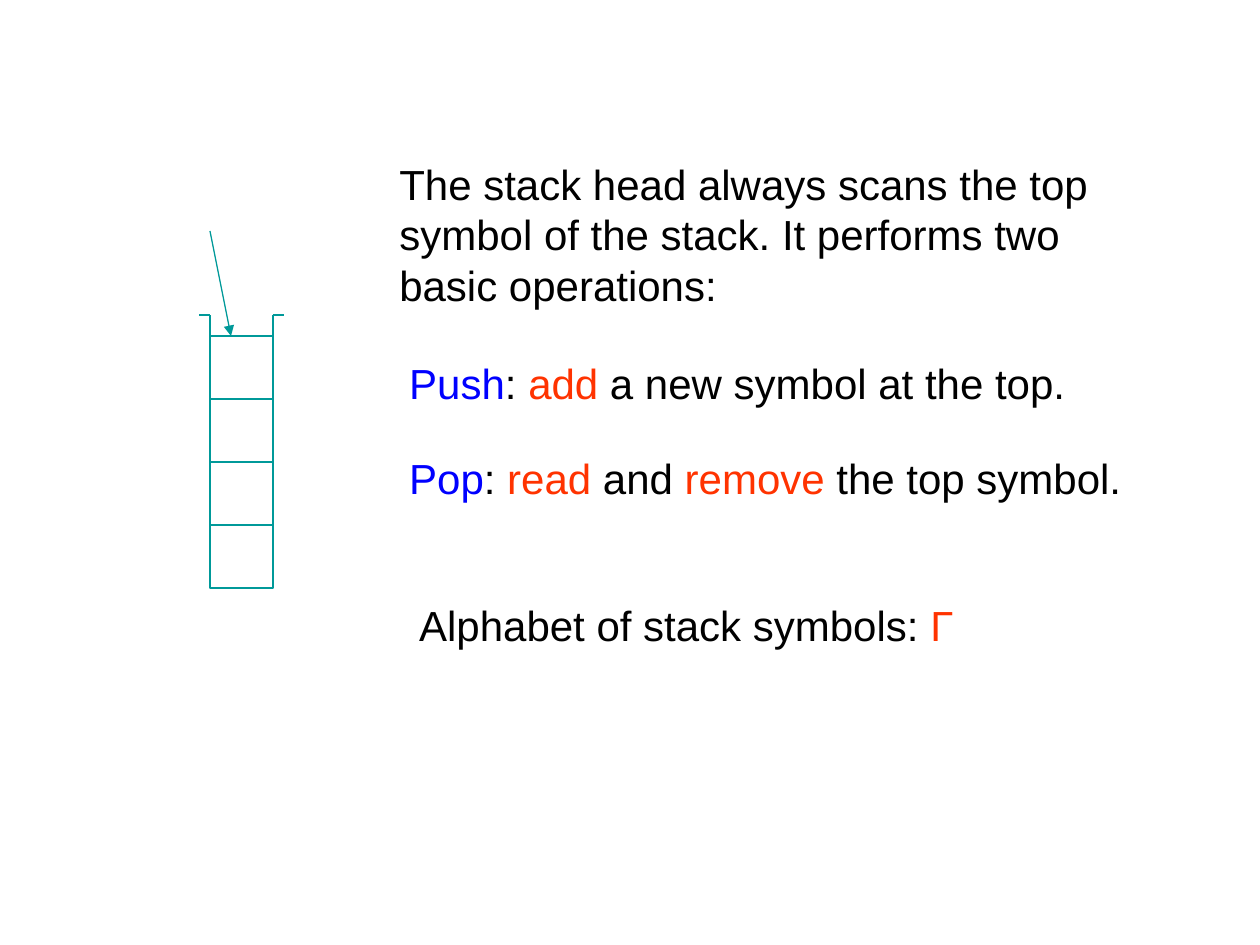
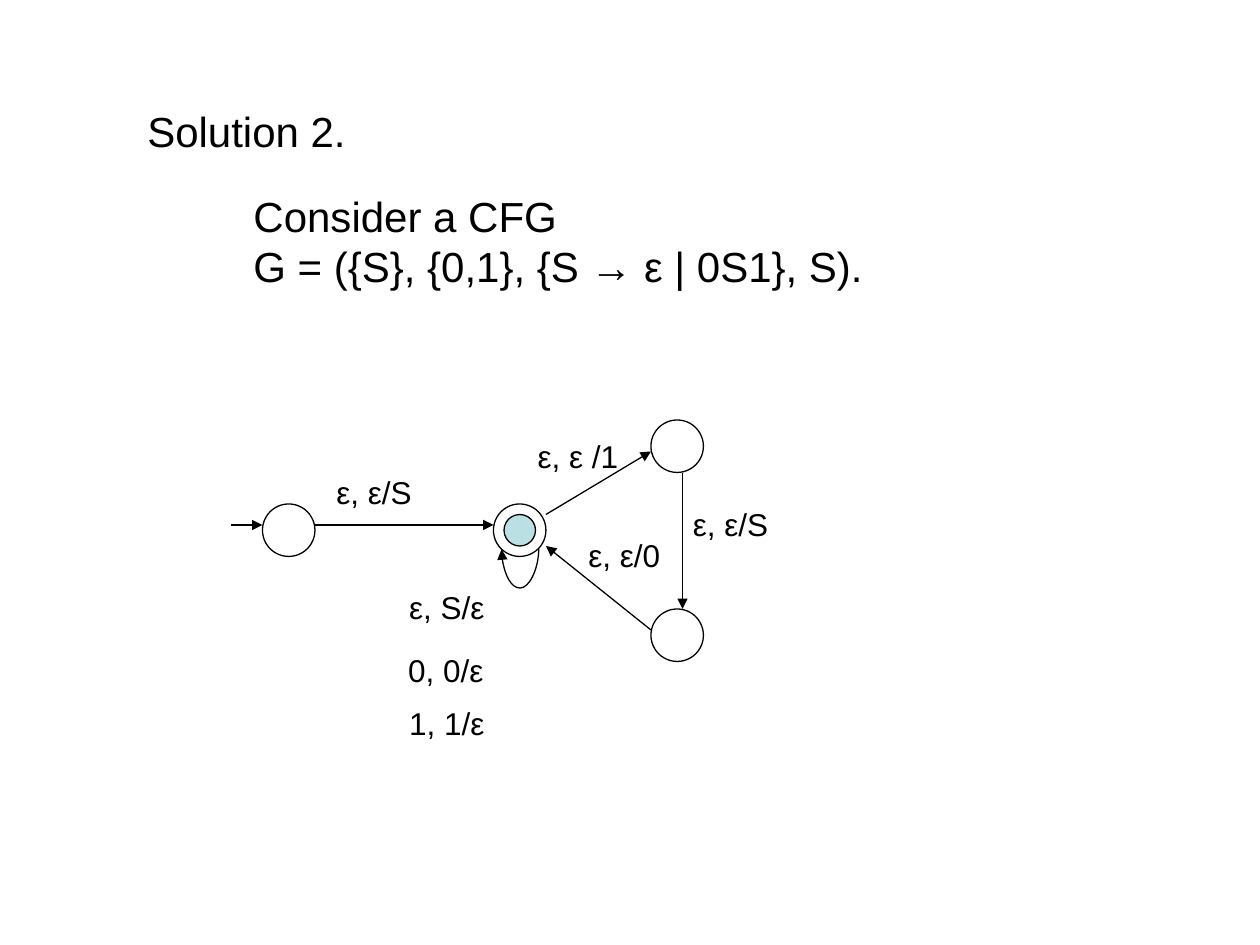
"""Build two slides on stack machines: stack operations and a grammar automaton."""
from dataclasses import dataclass

from lxml.etree import SubElement
from pptx import Presentation
from pptx.dml.color import RGBColor
from pptx.enum.shapes import MSO_CONNECTOR, MSO_SHAPE
from pptx.oxml.ns import qn
from pptx.util import Cm, Pt


@dataclass(frozen=True)
class Theme:
    font: str = "Arial"
    body: int = 24
    label: int = 18
    line: float = 0.75
    ink: str = "000000"
    term: str = "0000FF"
    verb: str = "FF3300"
    teal: str = "009999"
    tint: str = "BBE0E3"


LOOK = Theme()
STEP = 2.54 / 12

PROSE = [
    (7.8, 3.07, ["The stack head always scans the top",
                 "symbol of the stack. It performs two",
                 "basic operations:"]),
    (8, 7.09, [[("Push", LOOK.term), ": ", ("add", LOOK.verb),
                " a new symbol at the top."]]),
    (8, 8.99, [[("Pop", LOOK.term), ": ", ("read", LOOK.verb), " and ",
                ("remove", LOOK.verb), " the top symbol."]]),
    (8.2, 11.96, [["Alphabet of stack symbols: ", ("Γ", LOOK.verb)]]),
]
STACK = {"left": 20, "top": 32, "side": 6, "cells": 4, "rim": 2, "lip": 1}
HEAD = (20, 22, 22, 32)

GRAMMAR = [
    (2.72, 2.01, ["Solution 2."]),
    (4.86, 3.71, ["Consider a CFG", "G = ({S}, {0,1}, {S → ε | 0S1}, S)."]),
]
STATES = [(25, 48), (47, 48), (62, 58), (62, 40)]
SIZE = 5
CORE = (48, 49, 3)
MOVES = [(22, 50, 25, 50), (30, 50, 47, 50), (52, 49, 62, 43),
         (65, 45, 65, 58), (62, 60, 52, 52)]
LOOP = {"mid": (10.48, 11.07), "span": 0.75, "depth": 0.79, "thin": 0.01}
LABELS = [
    (6.53, 9.41, ["ε, ε/S"]),
    (13.72, 10.06, ["ε, ε/S"]),
    (8, 11.73, ["ε, S/ε"]),
    (11.61, 10.69, ["ε, ε/0"]),
    (10.59, 8.69, ["ε, ε /1"]),
    (7.98, 13, ["0, 0/ε"]),
    (8, 14.07, ["1, 1/ε"]),
]


def grid(*spots):
    return [Cm(spot * STEP) for spot in spots]


def write(slide, left, top, lines, *, size=LOOK.body, color=LOOK.ink, width=16):
    high = 0.25 + len(lines) * size * 0.0423
    frame = slide.shapes.add_textbox(Cm(left), Cm(top), Cm(width), Cm(high)).text_frame
    frame.word_wrap = True
    for spot, line in enumerate(lines):
        para = frame.add_paragraph() if spot else frame.paragraphs[0]
        for part in [line] if isinstance(line, str) else line:
            text, tone = (part, color) if isinstance(part, str) else part
            run = para.add_run()
            run.text = text
            run.font.name = LOOK.font
            run.font.size = Pt(size)
            run.font.color.rgb = RGBColor.from_string(tone)


def stroke(item, color):
    item.line.color.rgb = RGBColor.from_string(color)
    item.line.width = Pt(LOOK.line)


def draw(slide, kind, box, color=LOOK.ink, fill=None):
    shape = slide.shapes.add_shape(kind, *grid(*box))
    shape.shadow.inherit = False
    stroke(shape, color)
    if fill:
        shape.fill.solid()
        shape.fill.fore_color.rgb = RGBColor.from_string(fill)
    else:
        shape.fill.background()


def link(slide, ends, color=LOOK.ink, arrow=False, kind=MSO_CONNECTOR.STRAIGHT):
    line = slide.shapes.add_connector(kind, *ends)
    stroke(line, color)
    if arrow:
        SubElement(line.line._get_or_add_ln(), qn("a:tailEnd"), type="triangle")
    SubElement(line._element.spPr, qn("a:effectLst"))
    return line


def stack(slide):
    left, top, side = STACK["left"], STACK["top"], STACK["side"]
    right, rim = left + side, top - STACK["rim"]
    draw(slide, MSO_SHAPE.RECTANGLE,
         (left, top, side, side * STACK["cells"]), LOOK.teal)
    rules = [(left, top + side * row, right, top + side * row)
             for row in range(1, STACK["cells"])]
    for edge, way in ((left, -1), (right, 1)):
        rules += [(edge, top, edge, rim),
                  (edge, rim, edge + way * STACK["lip"], rim)]
    for ends in rules:
        link(slide, grid(*ends), LOOK.teal)
    link(slide, grid(*HEAD), LOOK.teal, arrow=True)


def loop(slide):
    (x, y), half, thin = LOOP["mid"], LOOP["span"] / 2, LOOP["thin"]
    ends = [Cm(spot) for spot in (x, y - half, x + thin, y + half)]
    curve = link(slide, ends, arrow=True, kind=MSO_CONNECTOR.CURVE)
    props = curve._element.spPr
    props.find(qn("a:xfrm")).set("rot", str(90 * 60000))
    bend = props.find(qn("a:prstGeom")).find(qn("a:avLst"))
    ratio = round(LOOP["depth"] / thin * 100000)
    SubElement(bend, qn("a:gd"), name="adj1", fmla=f"val {ratio}")


def graph(slide):
    for left, top in STATES:
        draw(slide, MSO_SHAPE.OVAL, (left, top, SIZE, SIZE))
    for ends in MOVES:
        link(slide, grid(*ends), arrow=True)
    loop(slide)
    left, top, size = CORE
    draw(slide, MSO_SHAPE.OVAL, (left, top, size, size), fill=LOOK.tint)


def main():
    deck = Presentation()
    deck.slide_width, deck.slide_height = Cm(25.4), Cm(19.05)
    first, second = (deck.slides.add_slide(deck.slide_layouts[6]) for _ in range(2))
    stack(first)
    for part in PROSE:
        write(first, *part)
    for part in GRAMMAR:
        write(second, *part)
    graph(second)
    for part in LABELS:
        write(second, *part, size=LOOK.label, width=2.5)
    deck.save("out.pptx")


if __name__ == "__main__":
    main()
